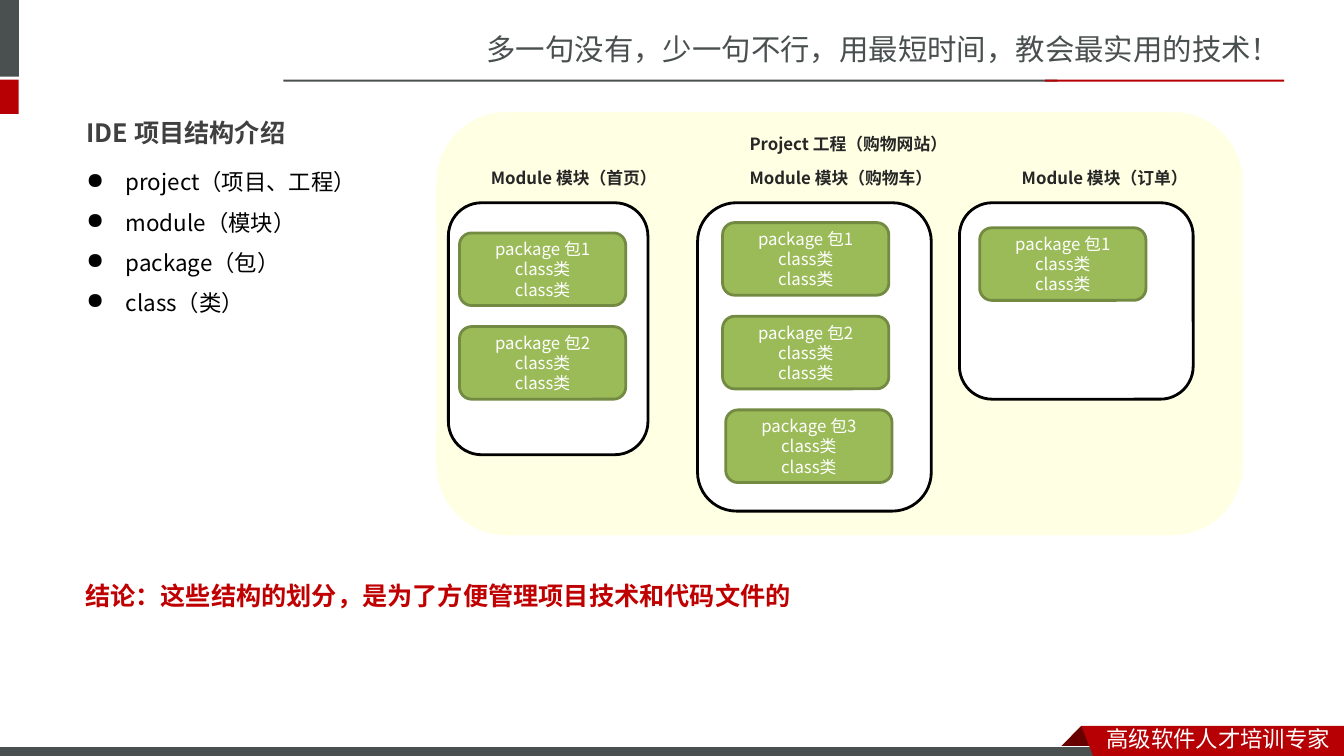
from dataclasses import dataclass
from typing import Any, Optional

from lxml.etree import SubElement
from pptx import Presentation
from pptx.dml.color import RGBColor
from pptx.enum.shapes import MSO_SHAPE
from pptx.enum.text import MSO_ANCHOR, MSO_AUTO_SIZE, PP_ALIGN
from pptx.oxml.ns import qn
from pptx.util import Cm, Pt

BODY_FONT = "Noto Sans CJK JP"
BRAND_FONT = "Noto Sans CJK SC"
GREY, RED, DARK_RED, WHITE, BLACK = "49504F", "B60004", "680000", "FFFFFF", "000000"
PACKAGE_WIDTH, PACKAGE_HEIGHT, PACKAGE_STEP = 4.19, 1.83, 2.36
MODULE_TOP, LABEL_TOP, LABEL_HEIGHT = 5.11, 4.11, 0.76


@dataclass
class Box:
    left: float
    top: float
    width: float
    height: float

    def lengths(self) -> list[Cm]:
        return [Cm(value) for value in (self.left, self.top, self.width, self.height)]


@dataclass
class TextStyle:
    size: float
    color: str
    bold: bool = False
    font: str = BODY_FONT
    alignment: PP_ALIGN = PP_ALIGN.LEFT
    line_spacing: float = 1.0
    bullet: Optional[str] = None


@dataclass
class Module:
    title: str
    label: Box
    frame: Box
    package_top: float
    package_lefts: list[float]


def set_all(target: Any, values: dict[str, Any]) -> None:
    for name, value in values.items():
        setattr(target, name, value)


def color(value: str) -> RGBColor:
    return RGBColor.from_string(value)


def paint(shape: Any, fill: str, line: Optional[str] = None, width: float = 2) -> None:
    shape.shadow.inherit = False
    shape.fill.solid()
    shape.fill.fore_color.rgb = color(fill)
    if line is None:
        shape.line.fill.background()
    else:
        shape.line.color.rgb = color(line)
        shape.line.width = Pt(width)


def write(shape: Any, lines: list[str], style: TextStyle,
          anchor: MSO_ANCHOR = MSO_ANCHOR.TOP) -> None:
    frame = shape.text_frame
    set_all(frame, {"word_wrap": True, "auto_size": MSO_AUTO_SIZE.NONE,
                    "vertical_anchor": anchor})
    frame.text = "\n".join(lines)
    for paragraph in frame.paragraphs:
        set_all(paragraph, {"alignment": style.alignment, "space_before": Pt(0),
                            "line_spacing": style.line_spacing})
        if style.bullet:
            properties = paragraph._p.get_or_add_pPr()
            properties.set("marL", str(Cm(0.99)))
            properties.set("indent", str(-Cm(0.99)))
            SubElement(properties, qn("a:buChar")).set("char", style.bullet)
        for run in paragraph.runs:
            set_all(run.font, {"size": Pt(style.size), "bold": style.bold, "name": style.font})
            run.font.color.rgb = color(style.color)
            SubElement(run._r.get_or_add_rPr(), qn("a:ea")).set("typeface", style.font)


def add_text(slide: Any, box: Box, lines: list[str], style: TextStyle) -> None:
    write(slide.shapes.add_textbox(*box.lengths()), lines, style)


def add_box(slide: Any, box: Box, fill: str, line: Optional[str] = None,
            width: float = 2, kind: MSO_SHAPE = MSO_SHAPE.ROUNDED_RECTANGLE) -> Any:
    shape = slide.shapes.add_shape(kind, *box.lengths())
    paint(shape, fill, line, width)
    return shape


def add_outline(slide: Any, points: list[tuple[float, float]], fill: str) -> None:
    start, *others = [(Cm(x), Cm(y)) for x, y in points]
    builder = slide.shapes.build_freeform(*start)
    builder.add_line_segments(others, close=True)
    paint(builder.convert_to_shape(), fill)


def add_brand_frame(slide: Any) -> None:
    add_text(slide, Box(12.01, 0.66, 20.83, 1.14),
             ["多一句没有，少一句不行，用最短时间，教会最实用的技术！"],
             TextStyle(21, GREY, font=BRAND_FONT))
    bars = [
        (Box(-0.15, 0, 0.63, 1.93), GREY),
        (Box(-0.15, 2.01, 0.62, 0.86), RED),
        (Box(7.14, 2.01, 19.51, 0.05), GREY),
        (Box(26.34, 2.01, 6.02, 0.05), RED),
    ]
    for box, fill in bars:
        add_box(slide, box, fill, kind=MSO_SHAPE.RECTANGLE)
    add_outline(slide, [(27.25, 18.29), (27.81, 18.85), (27.79, 18.87),
                        (26.72, 18.87), (26.7, 18.85)], DARK_RED)
    add_box(slide, Box(-0.03, 18.82, 27.94, 0.3), GREY, WHITE, 0.75, MSO_SHAPE.RECTANGLE)
    add_outline(slide, [(27.25, 18.29), (33.87, 18.29), (33.87, 19.15), (27.58, 19.13)], RED)
    add_text(slide, Box(27.64, 18.16, 6.22, 0.94), ["高级软件人才培训专家"],
             TextStyle(16, WHITE, font=BRAND_FONT))


def add_outline_text(slide: Any) -> None:
    title = slide.shapes.title
    set_all(title, dict(zip(("left", "top", "width", "height"),
                            Box(1.93, 2.46, 28.5, 1.3).lengths())))
    write(title, ["IDE 项目结构介绍"], TextStyle(18, "404040", True, line_spacing=1.5))
    add_text(slide, Box(1.93, 3.78, 8.26, 4.27),
             ["project（项目、工程）", "module（模块）", "package（包）", "class（类）"],
             TextStyle(16, BLACK, line_spacing=1.5, bullet="●"))
    add_text(slide, Box(1.55, 14.5, 18.97, 1.02),
             ["结论：这些结构的划分，是为了方便管理项目技术和代码文件的"],
             TextStyle(18, "C00000", True, alignment=PP_ALIGN.CENTER))


def add_module(slide: Any, module: Module) -> None:
    label_style = TextStyle(12, "262626", True)
    package_style = TextStyle(12, WHITE, alignment=PP_ALIGN.CENTER)
    add_box(slide, module.frame, WHITE, BLACK)
    add_text(slide, module.label, [module.title], label_style)
    for index, left in enumerate(module.package_lefts):
        top = module.package_top + index * PACKAGE_STEP
        package = add_box(slide, Box(left, top, PACKAGE_WIDTH, PACKAGE_HEIGHT),
                          "9BBB59", "738A42")
        write(package, [f"package 包{index + 1}", "class类", "class类"],
              package_style, MSO_ANCHOR.MIDDLE)


def add_project(slide: Any) -> None:
    add_box(slide, Box(11, 2.82, 20.32, 10.67), "FFFFE4")
    add_text(slide, Box(18.64, 3.25, 9.07, LABEL_HEIGHT), ["Project 工程（购物网站）"],
             TextStyle(12, "262626", True))
    modules = [
        Module("Module 模块（首页）", Box(12.12, LABEL_TOP, 9.07, LABEL_HEIGHT),
               Box(11.3, MODULE_TOP, 5.03, 6.35), 5.87, [11.58, 11.58]),
        Module("Module 模块（购物车）", Box(18.64, LABEL_TOP, 9.07, LABEL_HEIGHT),
               Box(17.58, MODULE_TOP, 5.89, 7.77), 5.61, [18.21, 18.21, 18.29]),
        Module("Module 模块（订单）", Box(25.5, LABEL_TOP, 5.64, LABEL_HEIGHT),
               Box(24.18, MODULE_TOP, 5.89, 4.95), 5.74, [24.69]),
    ]
    for module in modules:
        add_module(slide, module)


def main() -> None:
    presentation = Presentation()
    set_all(presentation, {"slide_width": Cm(33.87), "slide_height": Cm(19.05)})
    slide = presentation.slides.add_slide(presentation.slide_layouts[5])
    add_brand_frame(slide)
    add_outline_text(slide)
    add_project(slide)
    presentation.save("out.pptx")


if __name__ == "__main__":
    main()
